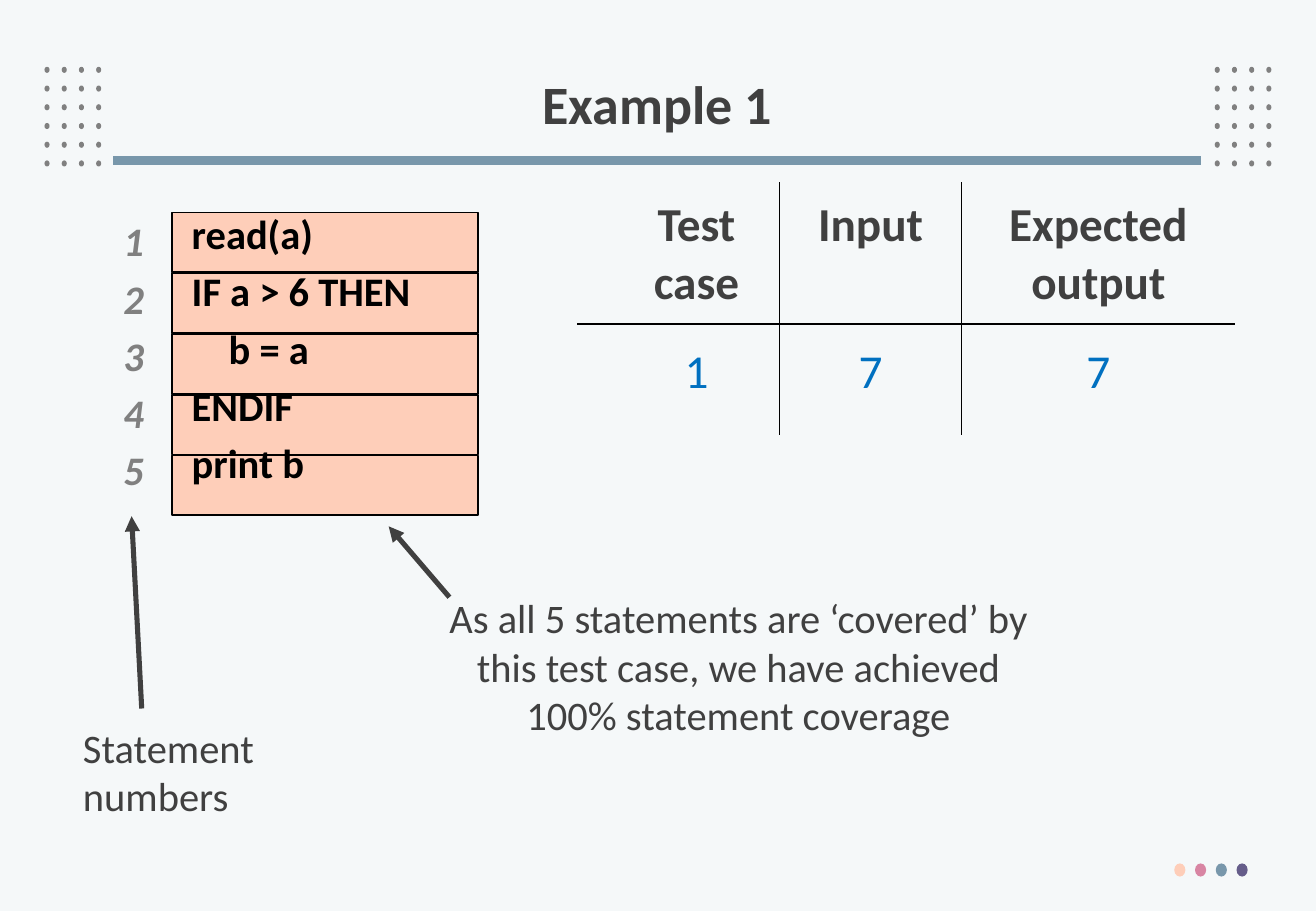
from dataclasses import dataclass
from itertools import product
from typing import Any

import lxml.etree
import pptx
import pptx.dml.color
import pptx.enum.shapes
import pptx.enum.text
import pptx.oxml.ns
import pptx.util

UNITS_PER_INCH = 12
COLUMNS, ROWS = 130, 90
FONT = "Calibri"
BACKGROUND, DARK, GREY, BLACK = "F5F8F9", "404040", "808080", "000000"
PEACH, PINK, STEEL, PURPLE, BLUE = "FECEB9", "D885A3", "7897AB", "655D8A", "0070C0"
OVAL = pptx.enum.shapes.MSO_SHAPE.OVAL
RECTANGLE = pptx.enum.shapes.MSO_SHAPE.RECTANGLE
LEFT, CENTER = pptx.enum.text.PP_ALIGN.LEFT, pptx.enum.text.PP_ALIGN.CENTER
TOP, MIDDLE = pptx.enum.text.MSO_ANCHOR.TOP, pptx.enum.text.MSO_ANCHOR.MIDDLE


@dataclass(frozen=True)
class Box:
    column: float
    row: float
    width: float
    height: float


@dataclass(frozen=True)
class TextStyle:
    size: float
    color: str
    bold: bool = False
    italic: bool = False
    align: Any = LEFT
    line_spacing: float = 1.0
    space_before: float = 0


@dataclass(frozen=True)
class TextBlock:
    box: Box
    lines: tuple[str, ...]
    style: TextStyle
    anchor: Any = TOP
    wrap: bool = True
    inset: tuple[float, float] = (1.2, 0.6)
    indents: tuple[float, ...] = ()


@dataclass(frozen=True)
class Line:
    start: tuple[float, float]
    end: tuple[float, float]
    color: str
    weight: float
    arrow: bool = False


HEADING = TextStyle(28, DARK, bold=True, align=CENTER)
VALUE = TextStyle(28, BLUE, align=CENTER)
CODE = TextStyle(24, BLACK, bold=True, line_spacing=0.86, space_before=9.2)
NUMBER = TextStyle(24, GREY, bold=True, italic=True, line_spacing=0.86, space_before=9.2)

STATEMENTS = ("read(a)", "IF a > 6 THEN", "b = a", "ENDIF", "print b")
NUMBERS = tuple(str(number + 1) for number in range(len(STATEMENTS)))
TEXT_BLOCKS = (
    TextBlock(Box(8.9, 4.8, 112.1, 11.8), ("Example 1",),
              TextStyle(32, DARK, bold=True, align=CENTER, line_spacing=0.85), MIDDLE),
    TextBlock(Box(42.6, 58, 60.7, 15.7),
              ("As all 5 statements are ‘covered’ by", "this test case, we have achieved",
               "100% statement coverage"),
              TextStyle(24, DARK, align=CENTER), wrap=False),
    TextBlock(Box(18.1, 21, 29.9, 29.2), STATEMENTS, CODE,
              inset=(0.84, 0.36), indents=(0, 0, 3.65, 0, 0)),
    TextBlock(Box(11, 21, 5, 28.9), NUMBERS, NUMBER, MIDDLE),
    TextBlock(Box(7, 70, 23.8, 12.4), ("Statement", "numbers"), TextStyle(24, DARK), MIDDLE),
)
LINES = (
    Line((118.6, 15.84), (11.2, 15.84), STEEL, 5.25),
    Line((44.4, 59), (38.4, 52), DARK, 3, arrow=True),
    Line((14, 70), (13, 51), DARK, 3, arrow=True),
)
TABLE_BOX = Box(57, 18, 65, 25)
TABLE_WIDTHS, TABLE_HEIGHTS = (20, 18, 27), (14, 11)
TABLE_ROWS = ((("Test", "case"), ("Input",), ("Expected", "output")), (("1",), ("7",), ("7",)))
TABLE_STYLES, TABLE_TOP_MARGINS = (HEADING, VALUE), (1.45, 1.95)
TABLE_LEFT_MARGINS = (4.8, 1.2, 1.2)


def grid(units: float) -> int:
    return pptx.util.Inches(units / UNITS_PER_INCH)


def rgb(color: str) -> pptx.dml.color.RGBColor:
    return pptx.dml.color.RGBColor.from_string(color)


def add_child(parent: Any, tag: str, **attributes: str) -> Any:
    return lxml.etree.SubElement(parent, pptx.oxml.ns.qn(tag), **attributes)


def write_lines(frame: Any, lines: tuple[str, ...], style: TextStyle,
                indents: tuple[float, ...] = ()) -> None:
    for index, text in enumerate(lines):
        paragraph = frame.paragraphs[0] if index == 0 else frame.add_paragraph()
        paragraph.alignment = style.align
        paragraph.line_spacing = style.line_spacing
        paragraph.space_before = pptx.util.Pt(style.space_before)
        if indents:
            paragraph._p.get_or_add_pPr().set("marL", str(grid(indents[index])))
        run = paragraph.add_run()
        run.text = text
        run.font.name = FONT
        run.font.size = pptx.util.Pt(style.size)
        run.font.bold = style.bold
        run.font.italic = style.italic
        run.font.color.rgb = rgb(style.color)


def add_text(slide: Any, block: TextBlock) -> None:
    box = block.box
    shape = slide.shapes.add_textbox(*map(grid, (box.column, box.row, box.width, box.height)))
    frame = shape.text_frame
    frame.word_wrap = block.wrap
    frame.vertical_anchor = block.anchor
    frame.margin_left = frame.margin_right = grid(block.inset[0])
    frame.margin_top = frame.margin_bottom = grid(block.inset[1])
    write_lines(frame, block.lines, block.style, block.indents)


def add_filled(slide: Any, kind: Any, box: Box, fill: str, outline: str = "") -> None:
    shape = slide.shapes.add_shape(kind, *map(grid, (box.column, box.row, box.width, box.height)))
    shape.shadow.inherit = False
    shape.fill.solid()
    shape.fill.fore_color.rgb = rgb(fill)
    if outline:
        shape.line.color.rgb = rgb(outline)
        shape.line.width = pptx.util.Pt(1)
    else:
        shape.line.fill.background()


def add_line(slide: Any, line: Line) -> None:
    connector = slide.shapes.add_connector(
        pptx.enum.shapes.MSO_CONNECTOR.STRAIGHT, *map(grid, line.start + line.end))
    connector.line.color.rgb = rgb(line.color)
    connector.line.width = pptx.util.Pt(line.weight)
    if line.arrow:
        add_child(connector.line._get_or_add_ln(), "a:tailEnd", type="triangle")
    add_child(connector._element.spPr, "a:effectLst")


def set_borders(cell: Any, visible: set[str]) -> None:
    properties = cell._tc.get_or_add_tcPr()
    for position, side in enumerate(("L", "R", "T", "B")):
        border = lxml.etree.Element(pptx.oxml.ns.qn(f"a:ln{side}"), w=str(pptx.util.Pt(1)))
        if side in visible:
            add_child(add_child(border, "a:solidFill"), "a:srgbClr", val=BLACK)
        else:
            add_child(border, "a:noFill")
        properties.insert(position, border)


def add_test_table(slide: Any) -> None:
    box = TABLE_BOX
    table = slide.shapes.add_table(
        len(TABLE_HEIGHTS), len(TABLE_WIDTHS),
        *map(grid, (box.column, box.row, box.width, box.height))).table
    table.first_row = table.horz_banding = False
    for column, width in zip(table.columns, TABLE_WIDTHS):
        column.width = grid(width)
    for row, height in zip(table.rows, TABLE_HEIGHTS):
        row.height = grid(height)
    for row, column in product(range(len(TABLE_HEIGHTS)), range(len(TABLE_WIDTHS))):
        cell = table.cell(row, column)
        cell.fill.background()
        cell.margin_left, cell.margin_right = grid(TABLE_LEFT_MARGINS[column]), grid(1.2)
        cell.margin_top, cell.margin_bottom = grid(TABLE_TOP_MARGINS[row]), 0
        write_lines(cell.text_frame, TABLE_ROWS[row][column], TABLE_STYLES[row])
        inner = {"B" if row == 0 else "T"}
        inner |= {"L"} if column > 0 else set()
        inner |= {"R"} if column < len(TABLE_WIDTHS) - 1 else set()
        set_borders(cell, inner)


def main() -> None:
    presentation = pptx.Presentation()
    presentation.slide_width, presentation.slide_height = grid(COLUMNS), grid(ROWS)
    slide = presentation.slides.add_slide(presentation.slide_layouts[6])
    slide.background.fill.solid()
    slide.background.fill.fore_color.rgb = rgb(BACKGROUND)
    for row, start, column in product(range(6), (4.4, 120), range(4)):
        add_filled(slide, OVAL, Box(start + 1.7 * column, 6.6 + 1.85 * row, 0.5, 0.6), GREY)
    for index, color in enumerate((PEACH, PINK, STEEL, PURPLE)):
        add_filled(slide, OVAL, Box(116 + 2.05 * index, 85.3, 1.1, 1.3), color)
    for index in range(len(STATEMENTS)):
        add_filled(slide, RECTANGLE, Box(17, 21 + 6 * index, 30.25, 5.9), PEACH, BLACK)
    add_test_table(slide)
    for line in LINES:
        add_line(slide, line)
    for block in TEXT_BLOCKS:
        add_text(slide, block)
    presentation.save("out.pptx")


if __name__ == "__main__":
    main()
